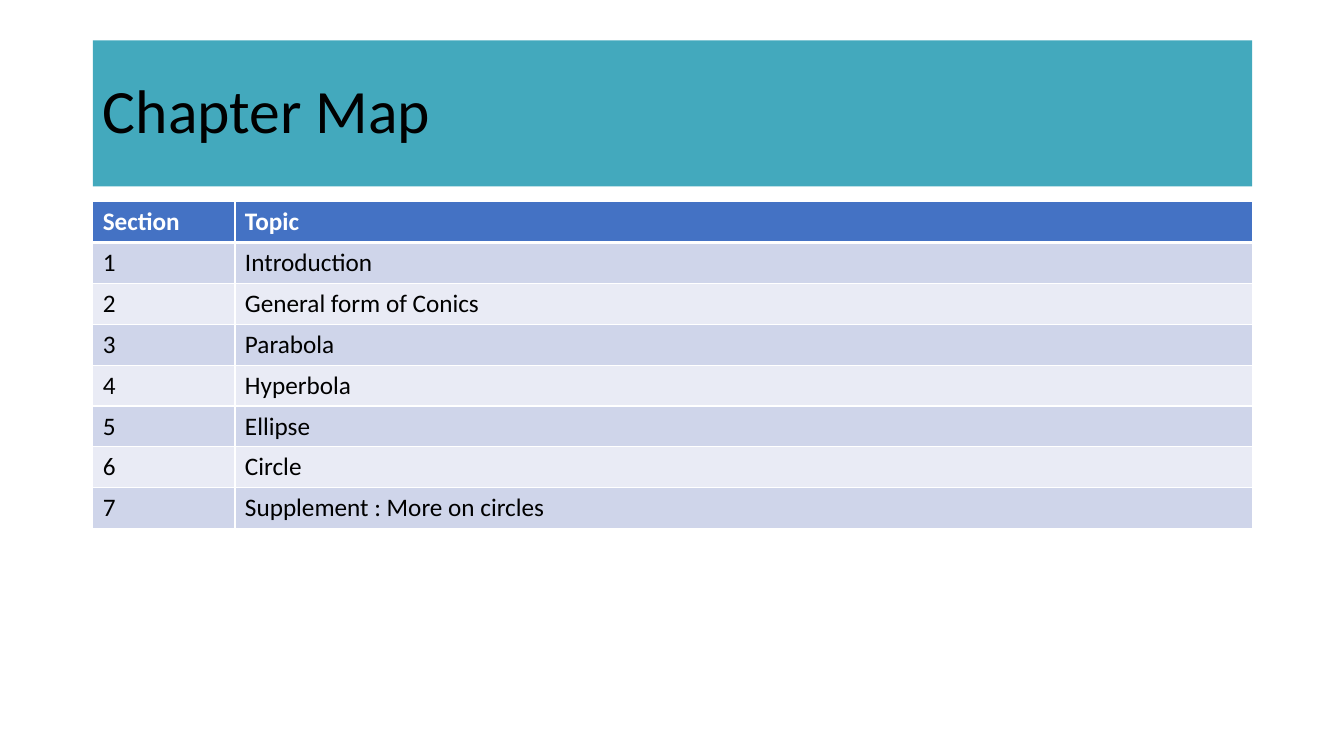
from lxml import etree
from pptx import Presentation
from pptx import util as u
from pptx.dml.color import RGBColor
from pptx.enum import text
from pptx.oxml import ns

LEFT, WIDTH = 0.92, 11.5
TOPICS = ["Introduction", "General form of Conics", "Parabola", "Hyperbola",
          "Ellipse", "Circle", "Supplement : More on circles"]


def paint(fill, color):
    fill.solid()
    fill.fore_color.rgb = RGBColor.from_string(color)


def style(par, color, **values):
    for name, value in {"name": "Calibri", **values}.items():
        setattr(par.font, name, value)
    par.font.color.rgb = RGBColor.from_string(color)


def border(cell, side, points, color="FFFFFF"):
    props = cell._tc.get_or_add_tcPr()
    line = etree.SubElement(props, ns.qn(f"a:ln{side}"), w=str(u.Pt(points)))
    solid = etree.SubElement(line, ns.qn("a:solidFill"))
    etree.SubElement(solid, ns.qn("a:srgbClr"), val=color)


def add_title(slide, words):
    title = slide.shapes.title
    box = {"left": LEFT, "top": 0.4, "width": WIDTH, "height": 1.45}
    for name, value in box.items():
        setattr(title, name, u.Inches(value))
    paint(title.fill, "43A9BD")
    frame = title.text_frame
    frame.text = words
    frame.auto_size = text.MSO_AUTO_SIZE.NONE
    frame.vertical_anchor = text.MSO_ANCHOR.MIDDLE
    par = frame.paragraphs[0]
    par.alignment = text.PP_ALIGN.LEFT
    par.line_spacing = 0.9
    style(par, "000000", size=u.Pt(44))


def add_map(slide, rows, widths):
    table = slide.shapes.add_table(
        len(rows), len(widths), u.Inches(LEFT), u.Inches(2),
        u.Inches(WIDTH), u.Inches(3.24)).table
    for col, width in zip(table.columns, widths):
        col.width = u.Inches(width)
    for r, row in enumerate(rows):
        head = r == 0
        # Body rows alternate; a thick rule sits under the header
        back = "4472C4" if head else ("E9EBF5", "CFD5EA")[r % 2]
        sides = {"L": 1, "R": 1, "T": 3 if r == 1 else 1, "B": 3 if head else 1}
        for c, words in enumerate(row):
            cell = table.cell(r, c)
            cell.text = words
            for side, points in sides.items():
                border(cell, side, points)
            paint(cell.fill, back)
            style(cell.text_frame.paragraphs[0],
                  "FFFFFF" if head else "000000", size=u.Pt(18), bold=head)


def main():
    deck = Presentation()
    deck.slide_width, deck.slide_height = u.Inches(13.33), u.Inches(7.5)
    slide = deck.slides.add_slide(deck.slide_layouts[5])

    # Title band
    add_title(slide, "Chapter Map")

    # Numbered list of sections
    rows = [("Section", "Topic")]
    rows += [(str(n), topic) for n, topic in enumerate(TOPICS, 1)]
    add_map(slide, rows, [1.41, 10.09])

    deck.save("out.pptx")


if __name__ == "__main__":
    main()
